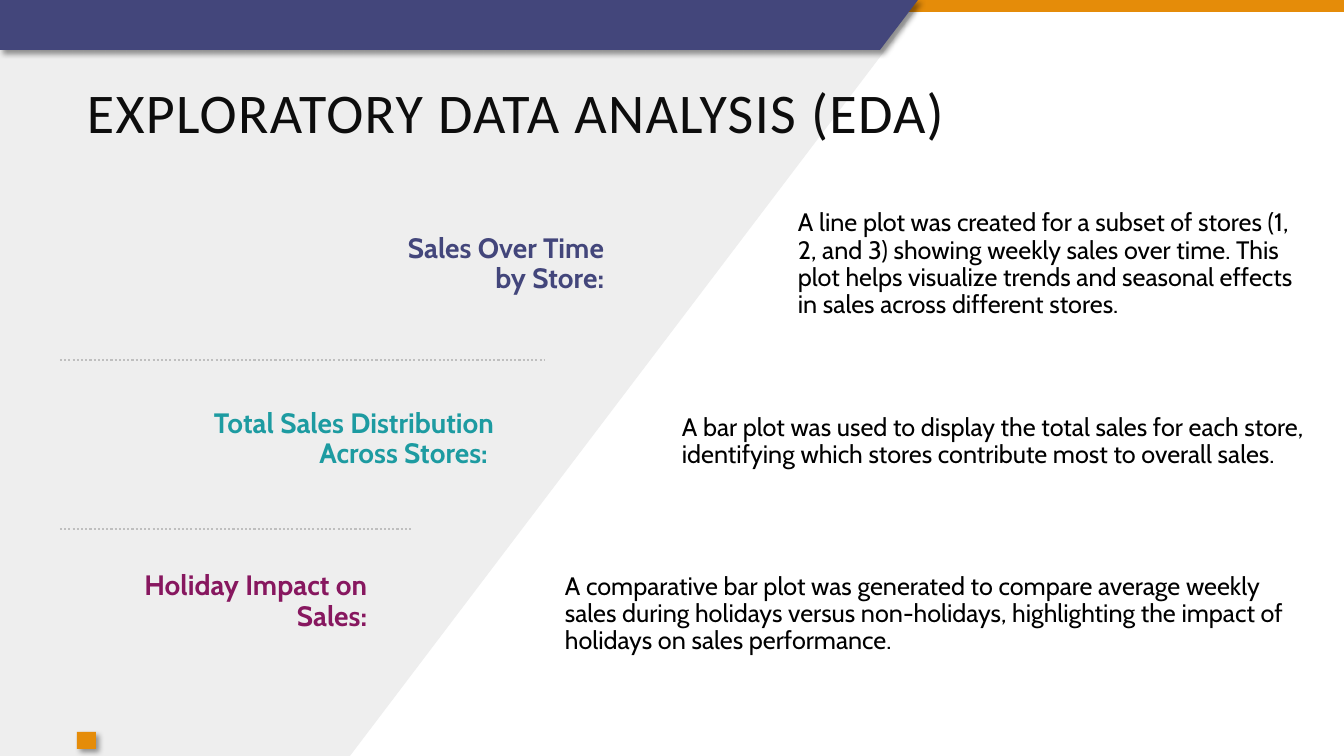
from pptx import Presentation
from pptx import util as u
from pptx.dml.color import RGBColor
from pptx.enum import dml, shapes, text
from pptx.oxml import parse_xml
from pptx.oxml.ns import nsdecls

PX = 12192000 / 1344
SLIDE_W, SLIDE_H = 1344, 756

INDIGO = RGBColor(0x43, 0x46, 0x7B)
TEAL = RGBColor(0x1D, 0x9B, 0xA1)
PLUM = RGBColor(0x87, 0x17, 0x5F)
ORANGE = RGBColor(0xE5, 0x8C, 0x09)
PALE_GREY = RGBColor(0xEE, 0xEE, 0xEE)
RULE_GREY = RGBColor(0xBF, 0xBF, 0xBF)
TITLE_BLACK = RGBColor(0x0D, 0x0D, 0x0D)
BLACK = RGBColor(0, 0, 0)

FINDINGS = [
    dict(box=(370, 203, 948, 123), label_box=(0, 25, 244, 73), text_left=418, color=INDIGO,
         label="Sales Over Time by Store:",
         description="A line plot was created for a subset of stores (1, 2, and 3) showing weekly "
                     "sales over time. This plot helps visualize trends and seasonal effects in "
                     "sales across different stores."),
    dict(box=(143, 380, 1176, 123), label_box=(0, 29, 361, 61), text_left=529, color=TEAL,
         label="Total Sales Distribution Across Stores: ",
         description="A bar plot was used to display the total sales for each store, identifying "
                     "which stores contribute most to overall sales."),
    dict(box=(86, 553, 1233, 123), label_box=(0, 20, 291, 58), text_left=469, color=PLUM,
         label="Holiday Impact on Sales:",
         description="A comparative bar plot was generated to compare average weekly sales during "
                     "holidays versus non-holidays, highlighting the impact of holidays on sales "
                     "performance."),
]
RULES = [(60, 360, 484), (60, 529, 353)]


def px(*lengths):
    return [u.Emu(round(length * PX)) for length in lengths]


def paint(shape, color, shadowed=False):
    shape.fill.solid()
    shape.fill.fore_color.rgb = color
    shape.line.fill.background()
    shape.shadow.inherit = False
    if shadowed:
        effects = shape._element.spPr.find(".//{*}effectLst")
        effects.append(parse_xml(
            f'<a:outerShdw {nsdecls("a")} blurRad="50800" dist="38100" dir="2700000" '
            'algn="tl" rotWithShape="0"><a:srgbClr val="000000"><a:alpha val="40000"/>'
            '</a:srgbClr></a:outerShdw>'))


def add_block(slide, box, color, shadowed=False):
    block = slide.shapes.add_shape(shapes.MSO_SHAPE.RECTANGLE, *px(*box))
    paint(block, color, shadowed)


def add_panel(slide, box, slant, color, shadowed=False):
    left, top, width, height = box
    outline = slide.shapes.build_freeform(left, top, scale=PX)
    corners = [(left + width, top)]
    corners += [(left + x, top + y) for x, y in slant]
    corners.append((left, top + height))
    outline.add_line_segments(corners, close=True)
    paint(outline.convert_to_shape(), color, shadowed)


def add_words(slide, box, words, font_name, size, color, bold=False,
              align=text.PP_ALIGN.LEFT):
    frame = slide.shapes.add_textbox(*px(*box)).text_frame
    frame.word_wrap = True
    frame.vertical_anchor = text.MSO_ANCHOR.MIDDLE
    frame.text = words
    paragraph = frame.paragraphs[0]
    paragraph.alignment = align
    run = paragraph.runs[0]
    run.font.name = font_name
    run.font.size = u.Pt(size)
    run.font.bold = bold
    run.font.color.rgb = color
    return paragraph


def add_backdrop(slide, box):
    left, top, width, height = box
    add_panel(slide, (left, top, 918, height), [(918, 7), (350, height)], PALE_GREY)
    add_block(slide, (left, top, width, 12), ORANGE)
    add_panel(slide, (left, top, 918, 50), [(880, 50)], INDIGO, shadowed=True)


def add_title(slide, box):
    title = add_words(slide, box, "EXPLORATORY DATA ANALYSIS (EDA)", "Calibri", 40, TITLE_BLACK)
    title.runs[0].font._element.set("spc", "100")


def add_finding(slide, box, label_box, text_left, color, label, description):
    left, top, width, height = box
    label_left, label_top, label_width, label_height = label_box
    description_box = (left + text_left, top, width - text_left, height)
    heading_box = (left + label_left, top + label_top, label_width, label_height)
    paragraphs = [
        add_words(slide, description_box, description, "Cabin", 18, BLACK),
        add_words(slide, heading_box, label, "Cabin", 20, color, True, text.PP_ALIGN.RIGHT),
    ]
    for paragraph in paragraphs:
        paragraph.line_spacing = 0.9
        paragraph.space_after = u.Pt(2)


def add_rule(slide, left, top, width):
    rule = slide.shapes.add_connector(
        shapes.MSO_CONNECTOR.STRAIGHT, *px(left, top, left + width, top))
    rule.line.color.rgb = RULE_GREY
    rule.line.width = u.Pt(1.5)
    rule.line.dash_style = dml.MSO_LINE.ROUND_DOT
    rule._element.spPr.append(parse_xml(f'<a:effectLst {nsdecls("a")}/>'))


def main():
    deck = Presentation()
    deck.slide_width, deck.slide_height = px(SLIDE_W, SLIDE_H)
    slide = deck.slides.add_slide(deck.slide_layouts[6])
    add_backdrop(slide, (0, 0, SLIDE_W, SLIDE_H))
    add_title(slide, (77, 72, 1191, 78))
    for finding in FINDINGS:
        add_finding(slide, **finding)
    add_block(slide, (77, 732, 19, 17), ORANGE, shadowed=True)
    for rule in RULES:
        add_rule(slide, *rule)
    deck.save("out.pptx")


if __name__ == "__main__":
    main()
